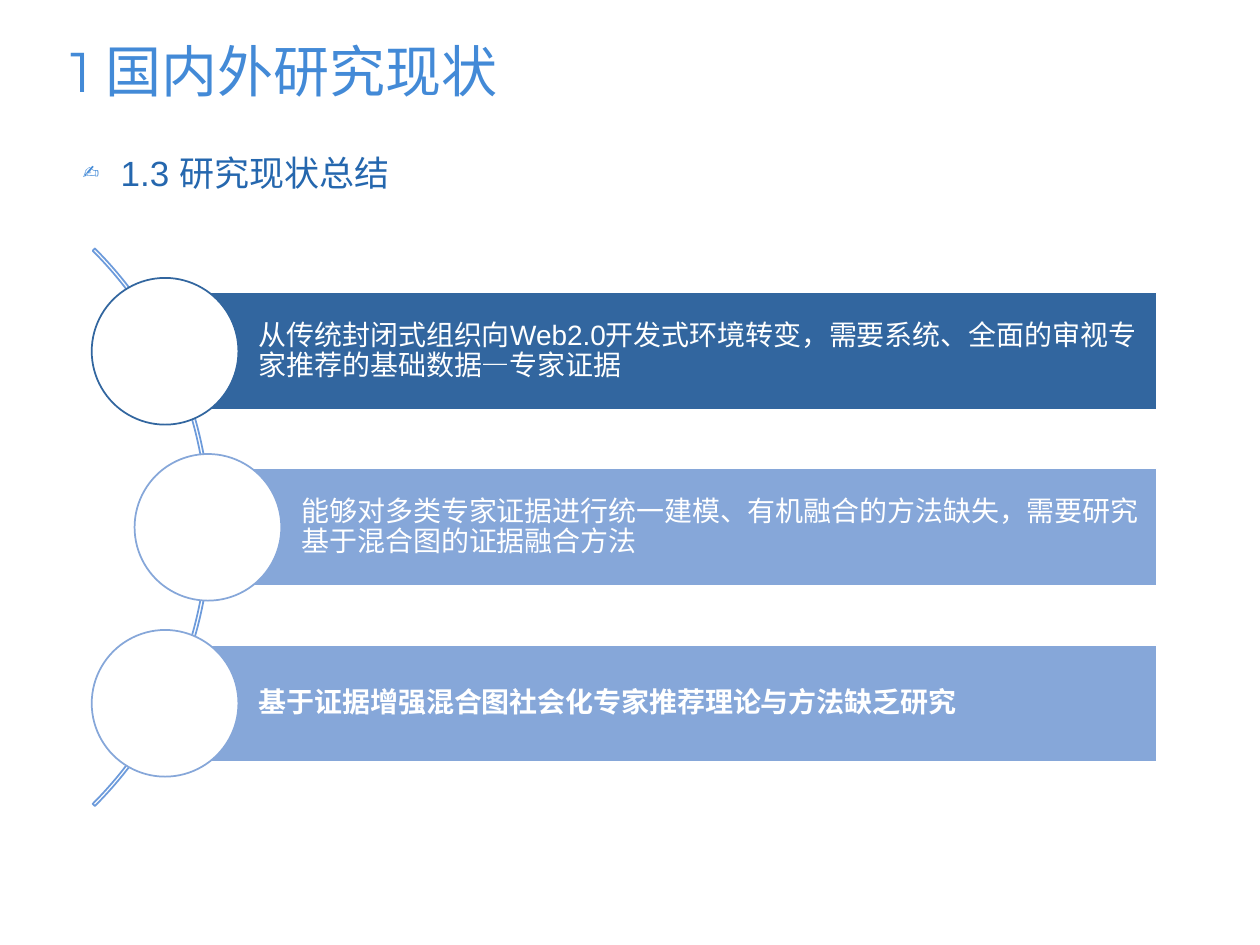
from collections import namedtuple
from dataclasses import dataclass

from lxml import etree
from pptx import Presentation
from pptx import util as u
from pptx.dml.color import RGBColor
from pptx.enum import shapes, text
from pptx.oxml.ns import qn

Box = namedtuple("Box", "x y w h")
COLS, ROWS = 100, 75
POINTS = [
    ("从传统封闭式组织向Web2.0开发式环境转变，需要系统、全面的审视专家推荐的基础数据—专家证据", False),
    ("能够对多类专家证据进行统一建模、有机融合的方法缺失，需要研究基于混合图的证据融合方法", False),
    ("基于证据增强混合图社会化专家推荐理论与方法缺乏研究", True),
]


@dataclass(frozen=True)
class Theme:
    """Colours, fonts and type sizes of the slide."""
    title: str = "438AD7"
    heading: str = "2567AE"
    arc: str = "6D9BDB"
    strong: str = "32669F"
    soft: str = "86A7D9"
    white: str = "FFFFFF"
    title_font: str = "Montserrat"
    body_font: str = "Arial"
    title_size: int = 32
    heading_size: int = 20
    body_size: int = 16


THEME = Theme()


def grid(n):
    """Turn grid units, a hundredth of the slide width each, into a length."""
    return u.Inches(n * 10 / COLS)


def add_text(sp, words, *, size, color, font=THEME.body_font, bold=False,
             anchor=text.MSO_ANCHOR.TOP, align=text.PP_ALIGN.LEFT,
             insets=(1, 0.5, 1, 0.5), spacing=0.9):
    """Write one formatted paragraph into a shape and return it."""
    tf = sp.text_frame
    tf.word_wrap = True
    tf.vertical_anchor = anchor
    tf.margin_left, tf.margin_top, tf.margin_right, tf.margin_bottom = map(grid, insets)
    p = tf.paragraphs[0]
    p.alignment, p.line_spacing = align, spacing
    r = p.add_run()
    r.text = words
    r.font.name, r.font.size, r.font.bold = font, u.Pt(size), bold
    r.font.color.rgb = RGBColor.from_string(color)
    return p


def add_outline(s, kind, box, line, fill=None):
    """Draw a preset shape with a thin line and an optional fill."""
    sp = s.shapes.add_shape(kind, *map(grid, box))
    sp.shadow.inherit = False
    sp.line.color.rgb = RGBColor.from_string(line)
    sp.line.width = u.Pt(1)
    if fill:
        sp.fill.solid()
        sp.fill.fore_color.rgb = RGBColor.from_string(fill)
    else:
        sp.fill.background()
    return sp


def add_bullet(p, char, color, percent, margin, indent):
    """Give a paragraph a coloured hanging bullet."""
    pPr = p._p.get_or_add_pPr()
    pPr.set("marL", str(grid(margin)))
    pPr.set("indent", str(grid(indent)))
    clr = etree.SubElement(pPr, qn("a:buClr"))
    etree.SubElement(clr, qn("a:srgbClr")).set("val", color)
    etree.SubElement(pPr, qn("a:buSzPct")).set("val", str(percent * 1000))
    etree.SubElement(pPr, qn("a:buChar")).set("char", char)


def draw_title(s, box, words):
    """Place the slide title at the bottom of its box."""
    sp = s.shapes.add_textbox(*map(grid, box))
    add_text(sp, words, size=THEME.title_size, color=THEME.title,
             font=THEME.title_font, anchor=text.MSO_ANCHOR.BOTTOM,
             insets=(1, 0, 1, 1.2))


def draw_heading(s, box, words):
    """Place the bulleted section heading at the top of its box."""
    sp = s.shapes.add_textbox(*map(grid, box))
    p = add_text(sp, words, size=THEME.heading_size, color=THEME.heading,
                 align=text.PP_ALIGN.JUSTIFY, spacing=1.1)
    add_bullet(p, "✍", THEME.title, 70, 4, -3)


def draw_point(s, box, words, color, bold):
    """Draw one bar with its circle centred on the left end."""
    bar = add_outline(s, shapes.MSO_SHAPE.RECTANGLE, box, THEME.white, color)
    add_text(bar, words, size=THEME.body_size, color=THEME.white, bold=bold,
             anchor=text.MSO_ANCHOR.MIDDLE, insets=(box.h * 0.8, 0.4, 0.4, 0.4))
    d = box.h * 1.25
    circle = Box(box.x - d / 2, box.y + (box.h - d) / 2, d, d)
    add_outline(s, shapes.MSO_SHAPE.OVAL, circle, color, THEME.white)


def draw_points(s, box, points):
    """Draw the arc and spread the bars evenly along it."""
    d = box.h * 1.4
    middle = box.y + box.h / 2
    arc = add_outline(s, shapes.MSO_SHAPE.BLOCK_ARC,
                      Box(box.x + 9.4 - d, middle - d / 2, d, d), THEME.arc)
    for i, value in enumerate((189, 27, 0.004)):
        arc.adjustments[i] = value
    pitch = box.h / (len(points) + 0.2)
    bar_h = pitch * 2 / 3
    for i, (words, bold) in enumerate(points):
        offset = i - (len(points) - 1) / 2
        x = box.x + (9.2 if offset == 0 else 5.8)
        bar = Box(x, middle + offset * pitch - bar_h / 2, box.x + box.w - x, bar_h)
        draw_point(s, bar, words, THEME.soft if i else THEME.strong, bold)


def main():
    """Build the slide and save it."""
    prs = Presentation()
    prs.slide_width, prs.slide_height = grid(COLS), grid(ROWS)
    s = prs.slides.add_slide(prs.slide_layouts[6])
    draw_title(s, Box(4.6, 1.8, 90.7, 7.7), "1 国内外研究现状")
    draw_heading(s, Box(4.6, 11.2, 90.7, 59.7), "1.3 研究现状总结")
    draw_points(s, Box(7.3, 19.5, 84.5, 44.7), POINTS)
    prs.save("out.pptx")


if __name__ == "__main__":
    main()
